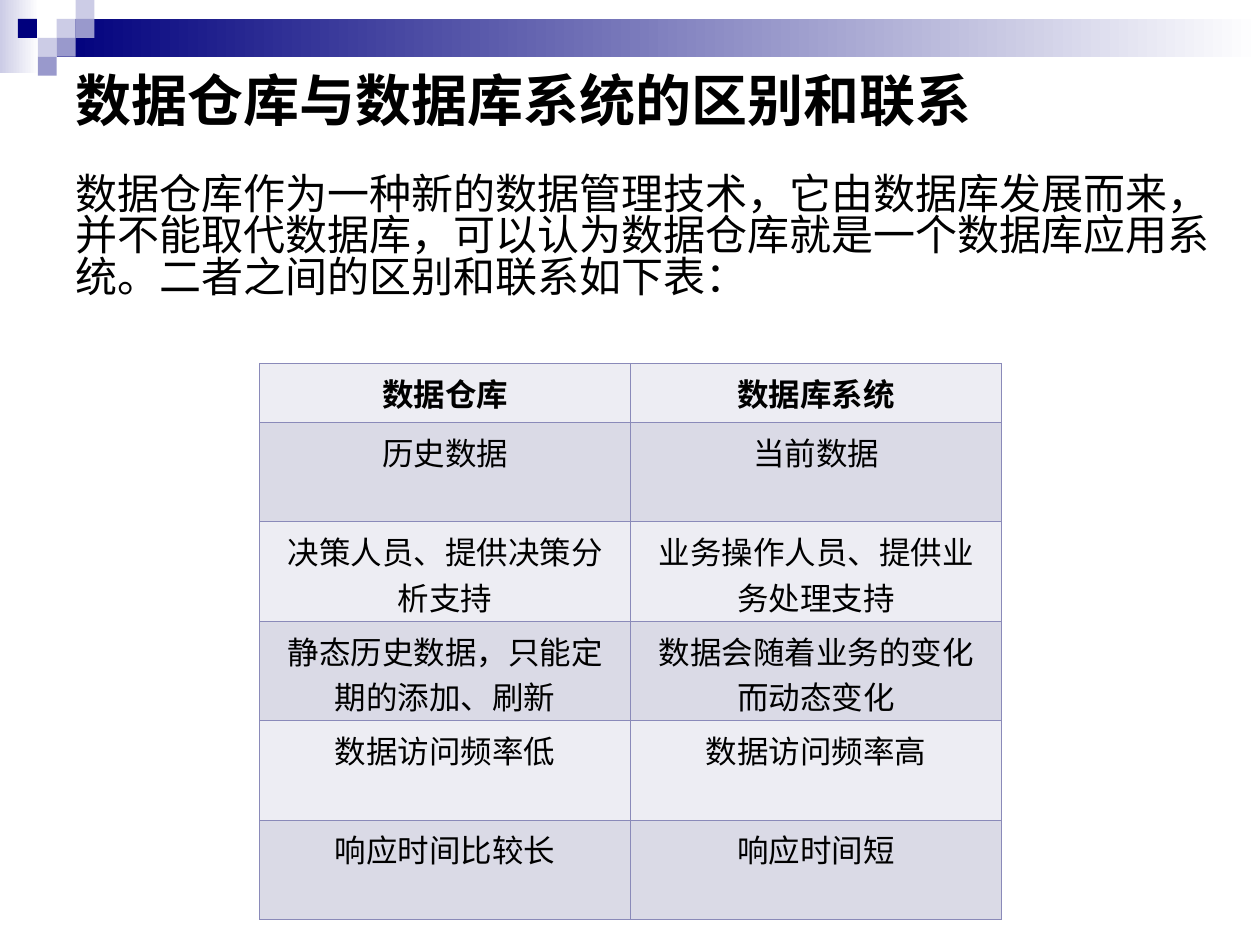
from lxml import etree
from pptx import Presentation
from pptx.dml.color import RGBColor
from pptx.enum.shapes import MSO_SHAPE
from pptx.enum.text import MSO_ANCHOR, PP_ALIGN
from pptx.oxml.ns import qn
from pptx.util import Pt

RECTANGLE = MSO_SHAPE.RECTANGLE
MIDDLE, TOP = MSO_ANCHOR.MIDDLE, MSO_ANCHOR.TOP
LEFT, CENTER = PP_ALIGN.LEFT, PP_ALIGN.CENTER

# Content
TITLE = "数据仓库与数据库系统的区别和联系"
INTRO = ("数据仓库作为一种新的数据管理技术，它由数据库发展而来，并不能取代数据库，"
         "可以认为数据仓库就是一个数据库应用系统。二者之间的区别和联系如下表：")
COMPARISON = [
    ("数据仓库", "数据库系统"),
    ("历史数据", "当前数据"),
    ("决策人员、提供决策分析支持", "业务操作人员、提供业务处理支持"),
    ("静态历史数据，只能定期的添加、刷新", "数据会随着业务的变化而动态变化"),
    ("数据访问频率低", "数据访问频率高"),
    ("响应时间比较长", "响应时间短"),
]

# Theme
THEME = {
    "font": "Arial", "text": "000000", "white": "FFFFFF",
    "navy": "00007D", "violet": "9999CC", "lilac": "CCCCE6",
    "bands": ("EDEDF3", "DADAE6"), "border": "8A8AB9", "border_width": 0.45,
    "title_size": 32, "intro_size": 24, "table_size": 18,
}

# Layout, in points
TITLE_BOX = (36, 36, 648, 41)
INTRO_BOX = (36, 94.3, 675.4, 122.4)
TABLE_LEFT, TABLE_TOP, COLUMN_WIDTH = 148.4, 207.6, 212
HEADER_HEIGHT, ROW_HEIGHT = 33.8, 56.8
SQUARE = 10.8
GRADIENT_BARS = [((0, 0, 22.3, 41.8), "lilac"), ((32.4, 10.8, 687.6, 21.6), "navy")]
SQUARES = [  # column, row, colour on the grid of small squares
    (3, 1, "lilac"), (4, 0, "lilac"), (4, 1, "violet"), (2, 2, "lilac"),
    (0.95, 1, "navy"), (3, 2, "violet"), (2, 3, "violet"),
]


def color(name):
    return RGBColor.from_string(THEME.get(name, name))


def place(shape, box):
    for name, value in zip(("left", "top", "width", "height"), box):
        setattr(shape, name, Pt(value))


def write(text_frame, text, size, bold=False, alignment=LEFT):
    text_frame.text = text
    paragraph = text_frame.paragraphs[0]
    paragraph.alignment = alignment
    font_format = {"name": THEME["font"], "size": Pt(size), "bold": bold}
    for name, value in font_format.items():
        setattr(paragraph.font, name, value)
    paragraph.font.color.rgb = color("text")
    return paragraph


def add_rectangle(slide, box, fill_name, gradient=False):
    shape = slide.shapes.add_shape(RECTANGLE, *map(Pt, box))
    shape.shadow.inherit = False
    shape.line.fill.background()
    if gradient:
        shape.fill.gradient()
        shape.fill.gradient_angle = 0
        for stop, name in zip(shape.fill.gradient_stops, (fill_name, "white")):
            stop.color.rgb = color(name)
    else:
        shape.fill.solid()
        shape.fill.fore_color.rgb = color(fill_name)


def set_borders(cell):
    properties = cell._tc.get_or_add_tcPr()
    for index, side in enumerate(("lnL", "lnR", "lnT", "lnB")):
        line = etree.Element(qn(f"a:{side}"), w=str(Pt(THEME["border_width"])))
        fill = etree.SubElement(line, qn("a:solidFill"))
        etree.SubElement(fill, qn("a:srgbClr"), val=THEME["border"])
        properties.insert(index, line)


def add_decoration(slide):
    for box, name in GRADIENT_BARS:
        add_rectangle(slide, box, name, gradient=True)
    for column, row, name in SQUARES:
        add_rectangle(slide, (column * SQUARE, row * SQUARE, SQUARE, SQUARE), name)


def add_title(slide):
    title = slide.shapes.title
    place(title, TITLE_BOX)
    write(title.text_frame, TITLE, THEME["title_size"], bold=True)
    title.text_frame.vertical_anchor = MIDDLE
    # Bring the title in front of the decoration
    slide.shapes._spTree.append(title._element)


def add_intro(slide):
    text_frame = slide.shapes.add_textbox(*map(Pt, INTRO_BOX)).text_frame
    frame_format = {"word_wrap": True, "vertical_anchor": TOP, "margin_top": Pt(6.5)}
    for name, value in frame_format.items():
        setattr(text_frame, name, value)
    write(text_frame, INTRO, THEME["intro_size"]).line_spacing = 0.82


def add_comparison(slide):
    row_count, column_count = len(COMPARISON), len(COMPARISON[0])
    heights = [HEADER_HEIGHT] + [ROW_HEIGHT] * (row_count - 1)
    box = (TABLE_LEFT, TABLE_TOP, COLUMN_WIDTH * column_count, sum(heights))
    table = slide.shapes.add_table(row_count, column_count, *map(Pt, box)).table
    for row, height in zip(table.rows, heights):
        row.height = Pt(height)
    for row_index, texts in enumerate(COMPARISON):
        for column_index, text in enumerate(texts):
            cell = table.cell(row_index, column_index)
            write(cell.text_frame, text, THEME["table_size"],
                  bold=row_index == 0, alignment=CENTER)
            cell.margin_bottom = 0
            cell.fill.solid()
            cell.fill.fore_color.rgb = color(THEME["bands"][row_index % 2])
            set_borders(cell)


def main():
    presentation = Presentation()
    presentation.slide_width, presentation.slide_height = Pt(720), Pt(540)
    slide = presentation.slides.add_slide(presentation.slide_layouts[5])
    add_decoration(slide)
    add_title(slide)
    add_intro(slide)
    add_comparison(slide)
    presentation.save("out.pptx")


if __name__ == "__main__":
    main()
